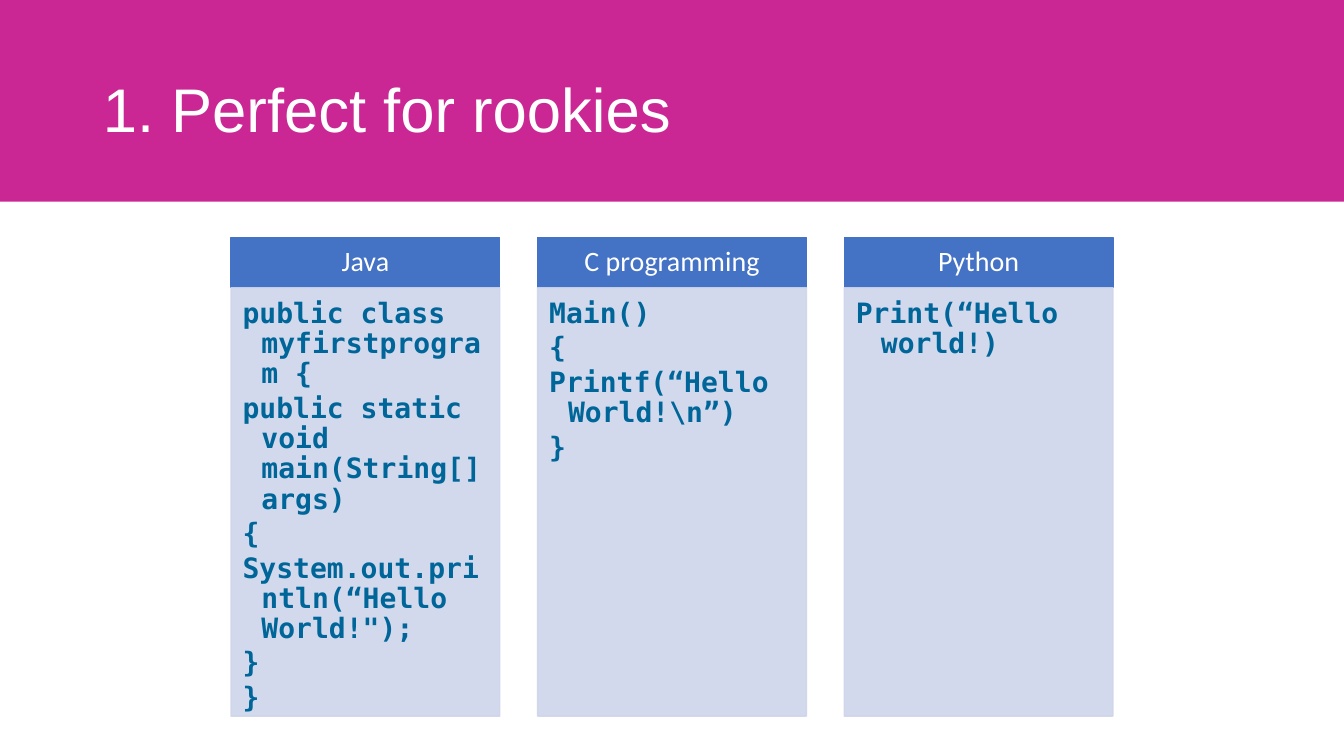
from dataclasses import dataclass

from lxml.etree import SubElement
from pptx import Presentation
from pptx.dml.color import RGBColor
from pptx.enum.shapes import MSO_SHAPE as Shape
from pptx.enum.text import MSO_ANCHOR as Anchor, PP_ALIGN as Align
from pptx.oxml.ns import qn
from pptx.shapes.autoshape import Shape as AutoShape
from pptx.slide import Slide
from pptx.util import Emu, Pt

EMU_PER_PX = 9525
COLORS = {
    "banner": "CA2795",
    "head": "4472C4",
    "body": "CFD5EA",
    "code": "006699",
    "white": "FFFFFF",
}


@dataclass(frozen=True)
class Box:
    left: int
    top: int
    width: int
    height: int


@dataclass(frozen=True)
class TextStyle:
    font: str
    size: int
    color: str
    insets: tuple[int, int, int, int]
    bold: bool = False
    align: Align = Align.LEFT
    anchor: Anchor = Anchor.MIDDLE
    space_after: int = 0


@dataclass(frozen=True)
class Language:
    name: str
    code: tuple[str, ...]
    hang: int = 18


TITLE = TextStyle("Arial", 44, "white", (10, 5, 10, 5))
HEAD = TextStyle("Calibri", 20, "white", (15, 9, 15, 9), align=Align.CENTER)
BODY = TextStyle("DejaVu Sans Mono", 20, "code", (11, 11, 15, 17),
                 bold=True, anchor=Anchor.TOP, space_after=3)

LANGUAGES = (
    Language("Java", (
        "public class myfirstprogram {",
        "public static void main(String[] args)",
        "{",
        "System.out.println(“Hello World!\");",
        "}",
        "}",
    )),
    Language("C programming", ("Main()", "{", "Printf(“Hello World!\\n”)", "}")),
    Language("Python", ("Print(“Hello world!)",), hang=24),
)

COLUMN_LEFT, COLUMN_STEP, COLUMN_WIDTH = 220, 292, 256
HEAD_TOP, HEAD_HEIGHT, BODY_HEIGHT = 226, 48, 408


def px(n: int) -> Emu:
    return Emu(n * EMU_PER_PX)


def rgb(name: str) -> RGBColor:
    return RGBColor.from_string(COLORS[name])


def set_all(target: object, values: dict[str, object]) -> None:
    for name, value in values.items():
        setattr(target, name, value)


def place(box: Box) -> tuple[Emu, Emu, Emu, Emu]:
    return px(box.left), px(box.top), px(box.width), px(box.height)


def add_rect(s: Slide, box: Box, color: str, outlined: bool = True,
             opacity: int = 100) -> AutoShape:
    sp = s.shapes.add_shape(Shape.RECTANGLE, *place(box))
    sp.shadow.inherit = False
    sp.fill.solid()
    sp.fill.fore_color.rgb = rgb(color)
    if outlined:
        sp.line.color.rgb = rgb(color)
        sp.line.width = Pt(1)
    else:
        sp.line.fill.background()
    if opacity < 100:
        for clr in sp.element.spPr.iter(qn("a:srgbClr")):
            SubElement(clr, qn("a:alpha"), val=str(opacity * 1000))
    return sp


def write(sp: AutoShape, lines: tuple[str, ...], style: TextStyle,
          hang: int = 0) -> None:
    tf = sp.text_frame
    left, top, right, bottom = style.insets
    set_all(tf, {
        "word_wrap": True,
        "vertical_anchor": style.anchor,
        "margin_left": px(left),
        "margin_top": px(top),
        "margin_right": px(right),
        "margin_bottom": px(bottom),
    })
    for i, line in enumerate(lines):
        p = tf.add_paragraph() if i else tf.paragraphs[0]
        set_all(p, {
            "alignment": style.align,
            "line_spacing": 0.9,
            "space_after": Pt(style.space_after),
        })
        if hang:
            pPr = p._p.get_or_add_pPr()
            pPr.set("marL", str(px(hang)))
            pPr.set("indent", str(-px(hang)))
        r = p.add_run()
        r.text = line
        set_all(r.font, {"name": style.font, "size": Pt(style.size),
                         "bold": style.bold})
        r.font.color.rgb = rgb(style.color)


def add_column(s: Slide, left: int, language: Language) -> None:
    head = Box(left, HEAD_TOP, COLUMN_WIDTH, HEAD_HEIGHT)
    body = Box(left, HEAD_TOP + HEAD_HEIGHT, COLUMN_WIDTH, BODY_HEIGHT)
    write(add_rect(s, head, "head"), (language.name,), HEAD)
    write(add_rect(s, body, "body", opacity=90), language.code, BODY,
          language.hang)


def main() -> None:
    prs = Presentation()
    set_all(prs, {"slide_width": px(1280), "slide_height": px(720)})
    s = prs.slides.add_slide(prs.slide_layouts[6])
    add_rect(s, Box(0, 0, 1280, 192), "banner", outlined=False)
    title = s.shapes.add_textbox(*place(Box(88, 38, 1104, 139)))
    write(title, ("1. Perfect for rookies",), TITLE)
    for i, language in enumerate(LANGUAGES):
        add_column(s, COLUMN_LEFT + i * COLUMN_STEP, language)
    prs.save("out.pptx")


if __name__ == "__main__":
    main()
